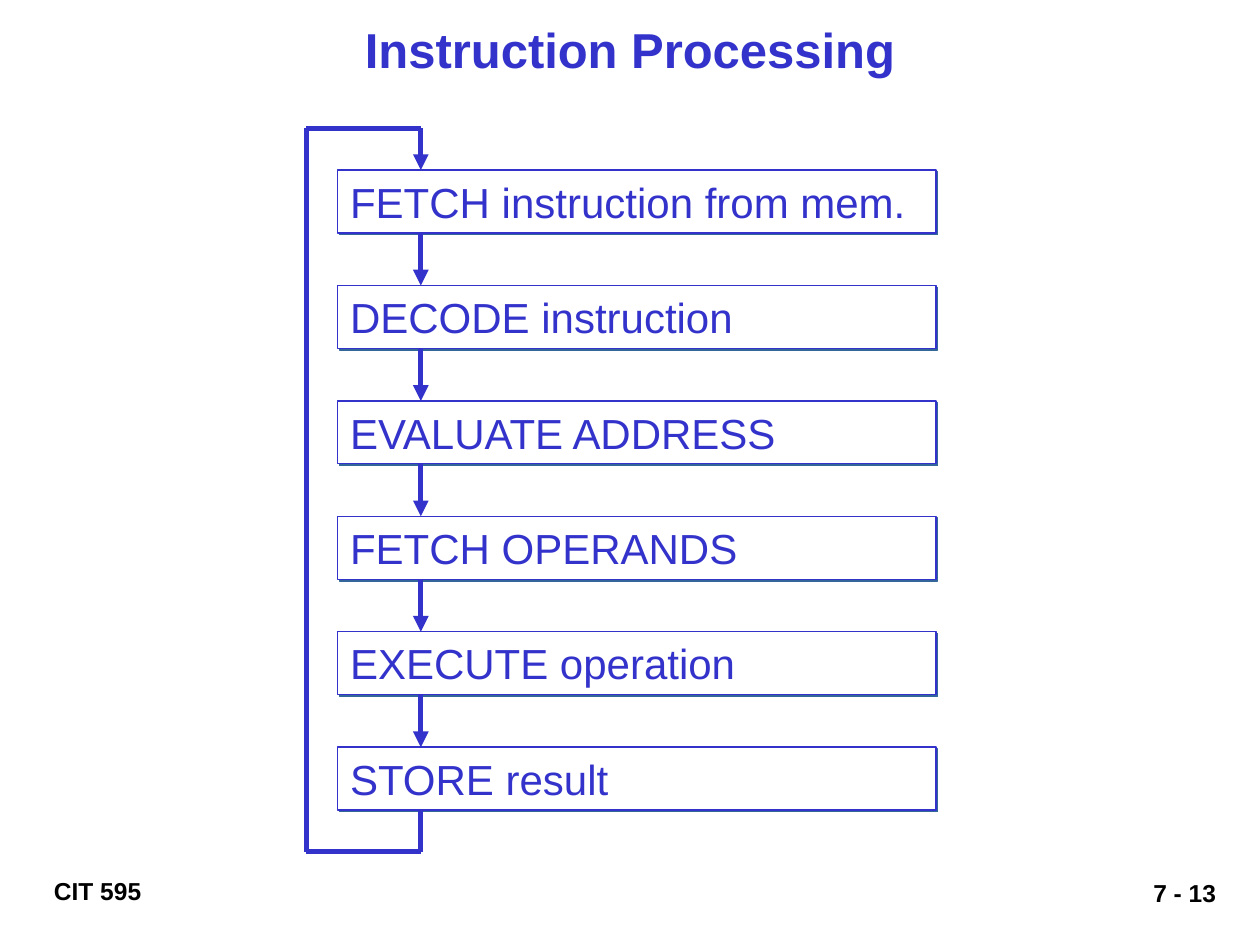
"""Build the instruction processing cycle slide."""
import pptx
import pptx.dml.color
import pptx.enum.shapes
import pptx.enum.text
import pptx.oxml
import pptx.oxml.ns
import pptx.util

Inches = pptx.util.Inches
Pt = pptx.util.Pt
ALIGN = pptx.enum.text.PP_ALIGN
ANCHOR = pptx.enum.text.MSO_ANCHOR
COLORS = {"blue": "3333CC", "shadow": "336699", "white": "FFFFFF", "black": "000000"}
STEPS = [
    "FETCH instruction from mem.",
    "DECODE instruction",
    "EVALUATE ADDRESS",
    "FETCH OPERANDS",
    "EXECUTE operation",
    "STORE result",
]
BOX_LEFT, BOX_WIDTH, BOX_HEIGHT = 2.68, 4.75, 0.5
FIRST_TOP, LAST_TOP = 1.35, 5.93
ARROW_X, LOOP_X = 3.34, 2.43
LOOP_TOP, LOOP_BOTTOM = 1.02, 6.76


def rgb(name):
    return pptx.dml.color.RGBColor.from_string(COLORS[name])


class SlideBuilder:
    font = "Arial"

    def __init__(self, prs):
        self.s = prs.slides.add_slide(prs.slide_layouts[5])
        self.s.background.fill.solid()
        self.s.background.fill.fore_color.rgb = rgb("white")

    def add_text(self, sp, text, size, color, align, bold=False, anchor=ANCHOR.TOP, wrap=True):
        tf = sp.text_frame
        tf.word_wrap = wrap
        tf.vertical_anchor = anchor
        tf.margin_left = tf.margin_right = Inches(0.1)
        tf.margin_top = tf.margin_bottom = Inches(0.05)
        p = tf.paragraphs[0]
        p.alignment = align
        r = p.add_run()
        r.text = text
        r.font.name = self.font
        r.font.size = Pt(size)
        r.font.bold = bold
        r.font.color.rgb = rgb(color)

    def title(self, text, left, top, width, height):
        sp = self.s.shapes.title
        sp.left, sp.top = Inches(left), Inches(top)
        sp.width, sp.height = Inches(width), Inches(height)
        self.add_text(sp, text, 28, "blue", ALIGN.CENTER, True, ANCHOR.MIDDLE)

    def label(self, text, left, top, width, height, align, wrap=True):
        sp = self.s.shapes.add_textbox(Inches(left), Inches(top), Inches(width), Inches(height))
        self.add_text(sp, text, 14, "black", align, True, wrap=wrap)

    def step(self, text, top):
        sp = self.s.shapes.add_shape(
            pptx.enum.shapes.MSO_SHAPE.RECTANGLE,
            Inches(BOX_LEFT), Inches(top), Inches(BOX_WIDTH), Inches(BOX_HEIGHT))
        sp.fill.solid()
        sp.fill.fore_color.rgb = rgb("white")
        sp.line.color.rgb = rgb("blue")
        sp.line.width = Pt(0.75)
        sp.shadow.inherit = False
        effects = sp._element.spPr.find(pptx.oxml.ns.qn("a:effectLst"))
        effects.append(pptx.oxml.parse_xml(
            f'<a:outerShdw {pptx.oxml.ns.nsdecls("a")} dist="{Pt(1.4)}" dir="2700000" '
            f'algn="ctr" rotWithShape="0"><a:srgbClr val="{COLORS["shadow"]}"/></a:outerShdw>'))
        self.add_text(sp, text, 24, "blue", ALIGN.LEFT)

    def line(self, start, end, arrow=False):
        c = self.s.shapes.add_connector(
            pptx.enum.shapes.MSO_CONNECTOR.STRAIGHT, *map(Inches, start + end))
        c.line.color.rgb = rgb("blue")
        c.line.width = Pt(3)
        if arrow:
            ln = c._element.spPr.find(pptx.oxml.ns.qn("a:ln"))
            ln.append(pptx.oxml.parse_xml(
                f'<a:tailEnd {pptx.oxml.ns.nsdecls("a")} type="triangle"/>'))
        c._element.spPr.append(pptx.oxml.parse_xml(
            f'<a:effectLst {pptx.oxml.ns.nsdecls("a")}/>'))


def main():
    prs = pptx.Presentation()
    prs.slide_width, prs.slide_height = Inches(10), Inches(7.5)
    b = SlideBuilder(prs)
    b.title("Instruction Processing", 0.25, 0.1, 9.5, 0.58)
    b.label("CIT 595", 0.33, 6.9, 0.89, 0.34, ALIGN.CENTER, wrap=False)
    b.label("7 - 13", 7.17, 6.92, 2.58, 0.42, ALIGN.RIGHT)

    pitch = (LAST_TOP - FIRST_TOP) / (len(STEPS) - 1)
    tops = [FIRST_TOP + i * pitch for i in range(len(STEPS))]
    for text, top in zip(STEPS, tops):
        b.step(text, top)
    for top, next_top in zip(tops, tops[1:]):
        b.line((ARROW_X, top + BOX_HEIGHT), (ARROW_X, next_top), arrow=True)

    loop = [
        (ARROW_X, LAST_TOP + BOX_HEIGHT),
        (ARROW_X, LOOP_BOTTOM),
        (LOOP_X, LOOP_BOTTOM),
        (LOOP_X, LOOP_TOP),
        (ARROW_X, LOOP_TOP),
        (ARROW_X, FIRST_TOP),
    ]
    for start, end in zip(loop, loop[1:]):
        b.line(start, end, arrow=end == loop[-1])
    prs.save("out.pptx")


if __name__ == "__main__":
    main()
